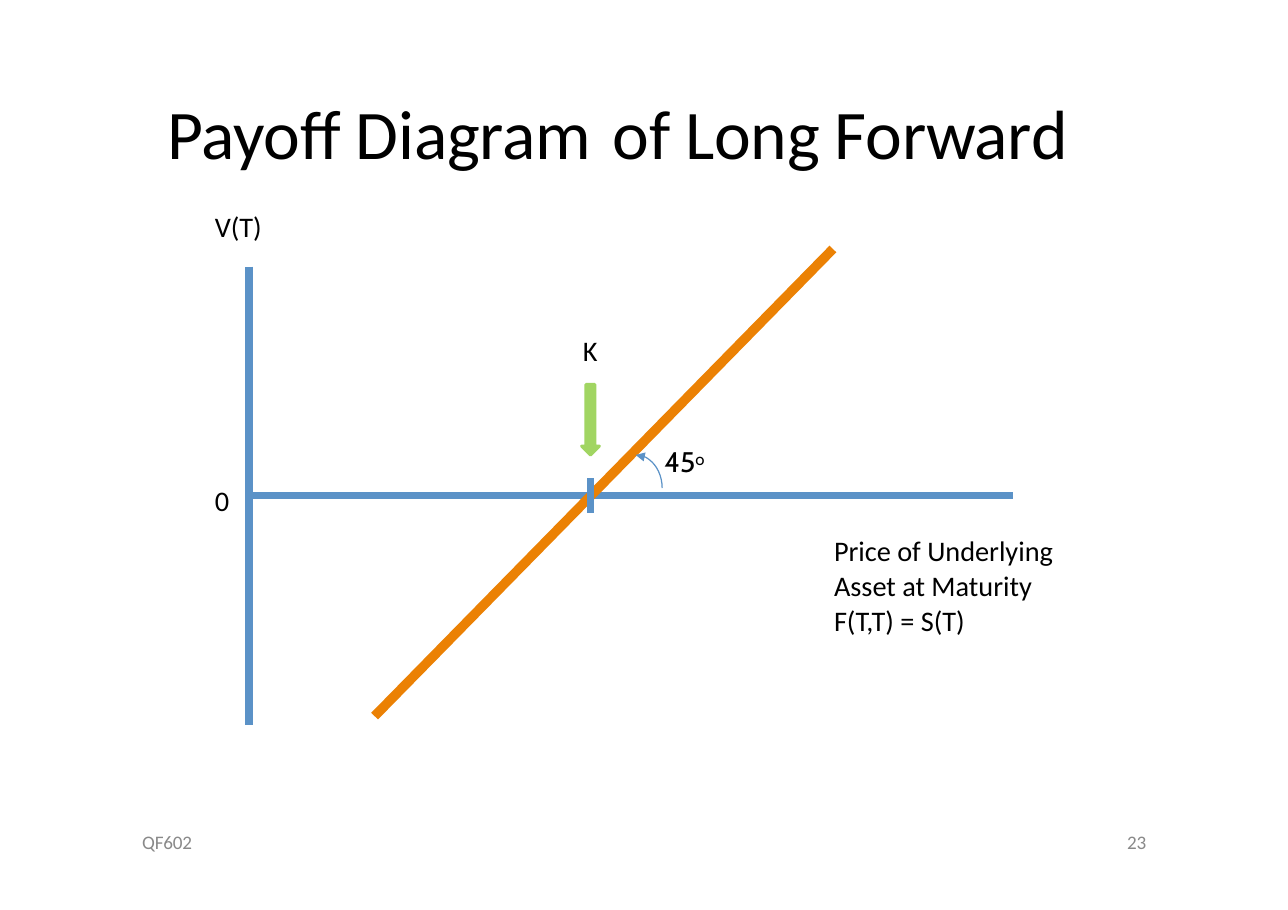
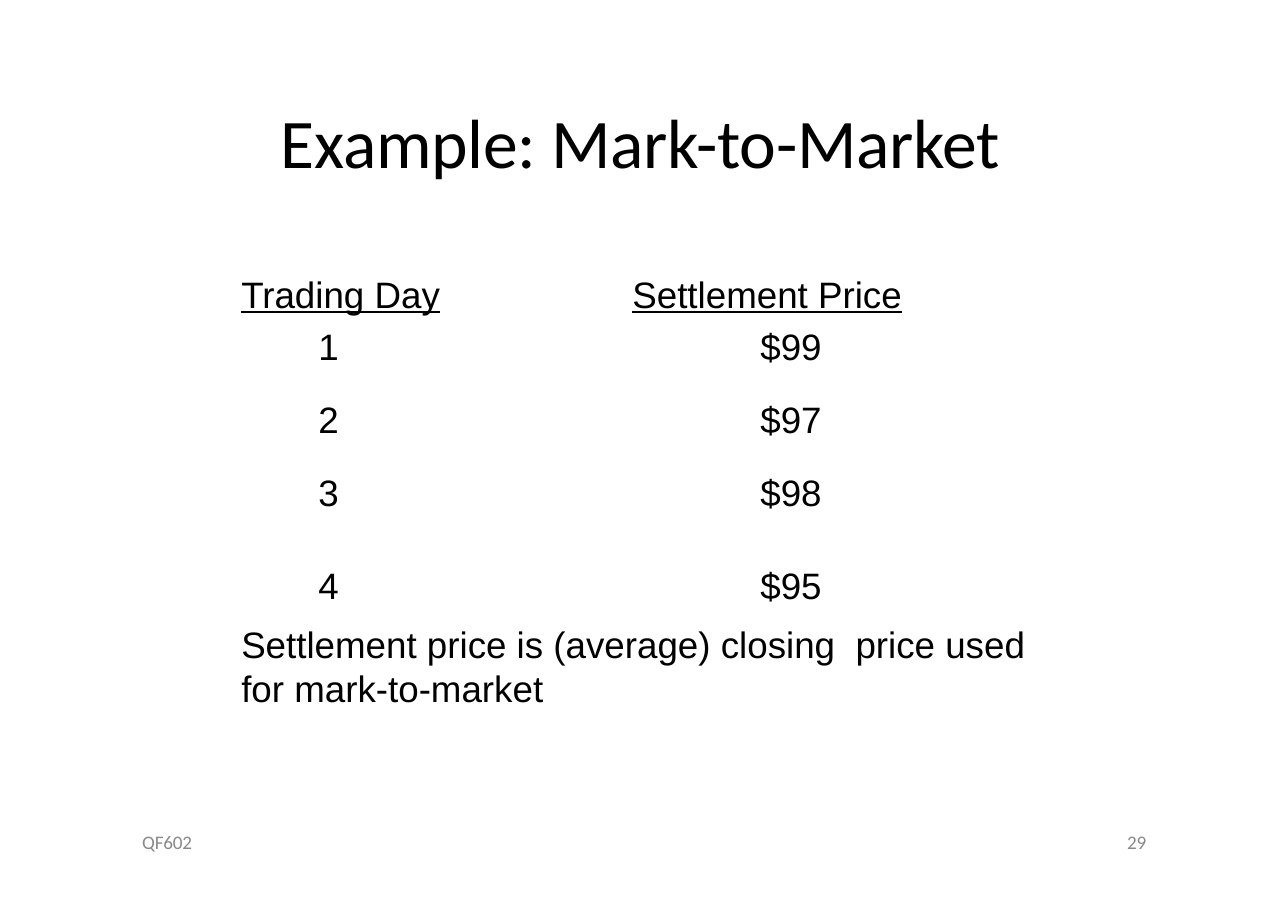
from pptx import Presentation
from pptx.dml.color import RGBColor
from pptx.enum import shapes, text
from pptx.oxml.ns import qn
from pptx.util import Inches, Pt
from lxml import etree

INK = {"black": "000000", "gray": "898989", "blue": "5B92C7", "orange": "EB8104", "green": "A1D562"}
HUE = {name: RGBColor.from_string(code) for name, code in INK.items()}
TITLE = {"size": Pt(45.5), "name": "Calibri"}
LABEL = {"size": Pt(18.5), "name": "Calibri"}
BODY = {"size": Pt(24), "name": "Arial"}
FOOT = {"size": Pt(12.5), "name": "Calibri"}


def write(para, words, style, hue="black", space=0):
    run = para.add_run()
    run.text = words
    for key, value in style.items():
        setattr(run.font, key, value)
    run.font.color.rgb = HUE[hue]
    if space:
        run._r.get_or_add_rPr().set("spc", str(space))
    return run


def label(slide, box, words, style, hue="black", top=0.02, before=1.1, space=0):
    frame = slide.shapes.add_textbox(*map(Inches, box)).text_frame
    layout = {"margin_left": 0, "margin_top": Inches(top), "margin_right": 0,
              "margin_bottom": 0, "word_wrap": True}
    for key, value in layout.items():
        setattr(frame, key, value)
    para = frame.paragraphs[0]
    para.space_before = Pt(before)
    write(para, words, style, hue, space)
    return para


deck = Presentation()
deck.slide_width, deck.slide_height = Inches(11.69), Inches(8.26)
pages = [
    ("23", "Payoﬀ Diagram\tof Long Forward", (1.52, 0.81, 8.45, 0.79)),
    ("29", "Example: Mark-to-Market", (2.55, 0.89, 6.62, 0.79)),
]
slides, heads = [], []
for page, title, box in pages:
    slide = deck.slides.add_slide(deck.slide_layouts[6])
    heads.append(label(slide, box, title, TITLE, top=0.01, space=-20))
    for left, wide, words in ((1.29, 0.49, "QF602"), (10.23, 0.2, page)):
        label(slide, (left, 7.54, wide, 0.24), words, FOOT, "gray", 0, 0.3, -10)
    slides.append(slide)
payoff, market = slides

tabs = etree.SubElement(heads[0]._p.get_or_add_pPr(), qn("a:tabLst"))
etree.SubElement(tabs, qn("a:tab"), pos=str(Inches(4.04)), algn="l")

lines = [
    ((2.26, 2.42, 2.26, 6.58), "blue", 4.66),
    ((2.26, 4.5, 9.19, 4.5), "blue", 4.66),
    ((3.4, 6.5, 7.56, 2.26), "orange", 6.21),
    ((5.36, 4.34, 5.36, 4.66), "blue", 4.66),
]
for ends, hue, width in lines:
    line = payoff.shapes.add_connector(shapes.MSO_CONNECTOR.STRAIGHT, *map(Inches, ends))
    line.line.color.rgb = HUE[hue]
    line.line.width = Pt(width)
    etree.SubElement(line._element.spPr, qn("a:effectLst"))

arrow = payoff.shapes.add_shape(shapes.MSO_SHAPE.DOWN_ARROW, *map(Inches, (5.28, 3.49, 0.16, 0.64)))
arrow.fill.solid()
arrow.fill.fore_color.rgb = HUE["green"]
arc = payoff.shapes.add_shape(shapes.MSO_SHAPE.ARC, *map(Inches, (5.53, 4.13, 0.48, 0.6)))
arc.fill.background()
for shape, hue, width in ((arrow, "green", 2.07), (arc, "blue", 0.78)):
    shape.shadow.inherit = False
    shape.line.color.rgb = HUE[hue]
    shape.line.width = Pt(width)
etree.SubElement(arc.line._get_or_add_ln(), qn("a:headEnd"), type="triangle")

labels = [
    ("V(T)", (1.95, 1.88, 0.57, 0.33)),
    ("0", (1.95, 4.37, 0.16, 0.34)),
    ("K", (5.29, 3, 0.76, 0.33)),
]
for words, box in labels:
    label(payoff, box, words, LABEL)
price = label(payoff, (7.57, 4.82, 2.14, 0.97),
              "Price of Underlying Asset at Maturity F(T,T) = S(T)", LABEL, top=0.01, before=0.6)
price.line_spacing = 1.03
angle = label(payoff, (6.03, 4.01, 0.37, 0.34), "45", {"size": Pt(18.5), "name": "Cabin"})
degree = write(angle, "o", {"size": Pt(18.8), "name": "Cabin"}, space=-10)
degree._r.get_or_add_rPr().set("baseline", "24000")

rows = [("Trading Day", "Settlement Price"), ("1", "$99"), ("2", "$97"), ("3", "$98"), ("4", "$95")]
highs = [0.58, 0.66, 0.67, 0.67, 0.59]
leads = {0: 36.6, 4: 39}
grid = market.shapes.add_table(5, 2, *map(Inches, (2.16, 2.36, 6.99, 3.17))).table
grid.first_row = grid.horz_banding = False
for col, wide in zip(grid.columns, (3.05, 3.94)):
    col.width = Inches(wide)
for i, (row, high) in enumerate(zip(rows, highs)):
    grid.rows[i].height = Inches(high)
    for j, words in enumerate(row):
        cell = grid.cell(i, j)
        cell.fill.background()
        layout = {"margin_left": 0, "margin_right": 0, "margin_bottom": 0,
                  "margin_top": Inches(0.03 if i else 0)}
        for key, value in layout.items():
            setattr(cell, key, value)
        para = cell.text_frame.paragraphs[0]
        if i:
            para.space_before = Pt(2.3)
        if i in leads:
            para.line_spacing = Pt(leads[i])
        if i and j:
            para.alignment = text.PP_ALIGN.CENTER
        else:
            indent = 0.73 if i else (0.03, 0.53)[j]
            para._p.get_or_add_pPr().set("marL", str(Inches(indent)))
        write(para, words, {**BODY, "underline": i == 0})

label(market, (2.19, 5.62, 7.47, 0.82),
      "Settlement price is (average) closing  price used for mark-to-market", BODY)
deck.save("out.pptx")
